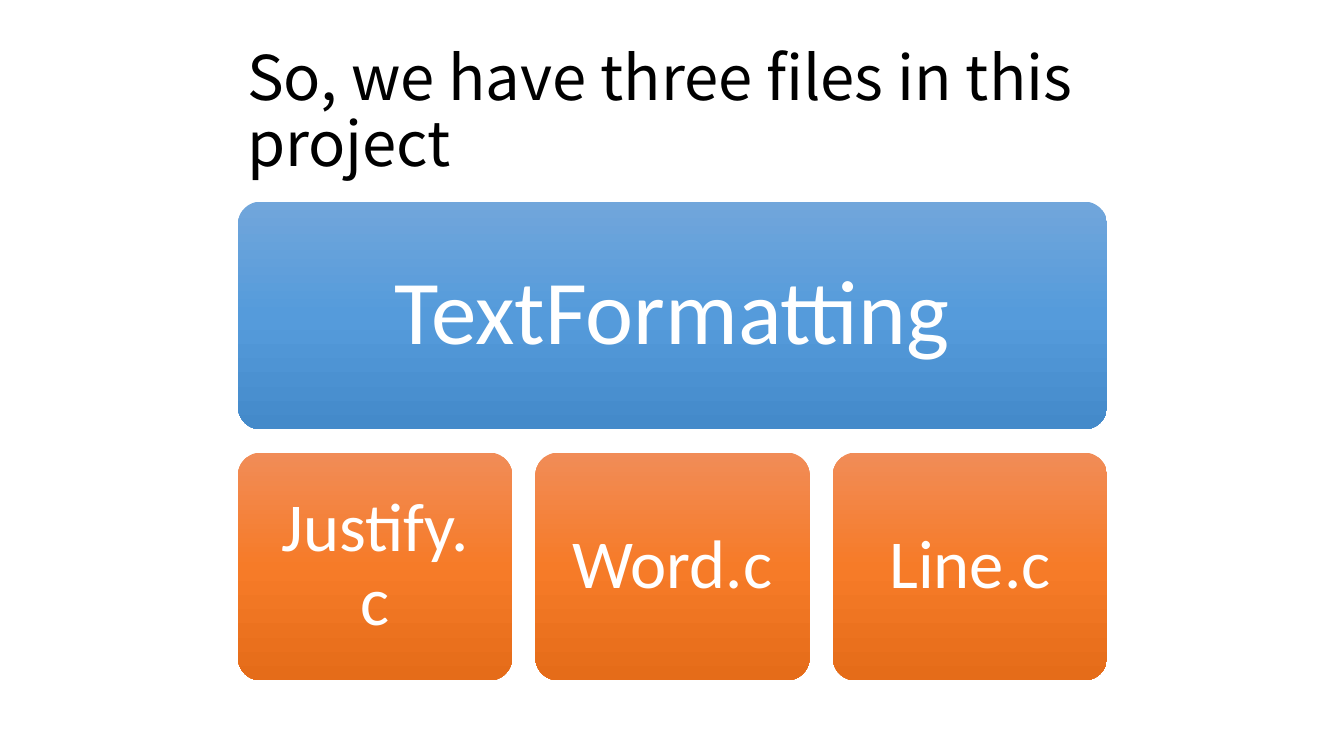
from copy import deepcopy

from pptx import Presentation
from pptx import util as u
from pptx.dml.color import RGBColor
from pptx.enum import shapes, text

COLORS = {
    "title": "000000",
    "label": "FFFFFF",
    "project": ("71A6DB", "559BDB", "448ACA"),
    "file": ("F18C57", "F67B28", "E56C19"),
}
LEFT, WIDTH, HEIGHT, GAP = 2.36, 8.62, 2.26, 0.23
PROJECT_TOP, FILE_TOP = 2, 4.49
FILES = ("Justify.c", "Word.c", "Line.c")


def write(frame, words, *, font, size, color, align, margin):
    frame.word_wrap = True
    frame.auto_size = text.MSO_AUTO_SIZE.NONE
    frame.vertical_anchor = text.MSO_ANCHOR.MIDDLE
    frame.margin_left = frame.margin_right = u.Inches(margin)
    para = frame.paragraphs[0]
    para.alignment = align
    para.line_spacing = 0.9
    span = para.add_run()
    span.text = words
    span.font.name = font
    span.font.size = u.Pt(size)
    span.font.color.rgb = RGBColor.from_string(color)


class Slide:
    title_font = "Noto Sans CJK SC"
    label_font = "Calibri"

    def __init__(self, deck):
        self.page = deck.slides.add_slide(deck.slide_layouts[5])

    def title(self, words, left, top, width, height):
        box = self.page.shapes.title
        box.left, box.top = u.Inches(left), u.Inches(top)
        box.width, box.height = u.Inches(width), u.Inches(height)
        write(box.text_frame, words, font=self.title_font, size=44,
              color=COLORS["title"], align=text.PP_ALIGN.LEFT, margin=0.1)

    def block(self, words, left, top, width, height, kind, size):
        box = self.page.shapes.add_shape(
            shapes.MSO_SHAPE.ROUNDED_RECTANGLE,
            u.Inches(left), u.Inches(top), u.Inches(width), u.Inches(height))
        box.adjustments[0] = 0.1
        box.shadow.inherit = False
        box.line.fill.background()
        self.shade(box, COLORS[kind])
        write(box.text_frame, words, font=self.label_font, size=size,
              color=COLORS["label"], align=text.PP_ALIGN.CENTER, margin=0.25)

    def shade(self, box, colors):
        box.fill.gradient()
        box.fill.gradient_angle = 270
        stop_list = box.element.spPr.xpath("./a:gradFill/a:gsLst")[0]
        stop_list.append(deepcopy(stop_list[0]))
        for stop, position, color in zip(box.fill.gradient_stops, (0, 0.5, 1), colors):
            stop.position = position
            stop.color.rgb = RGBColor.from_string(color)


deck = Presentation()
deck.slide_width, deck.slide_height = u.Inches(13.33), u.Inches(7.5)
slide = Slide(deck)
slide.title("So, we have three files in this project", 2.35, 0.4, 9.19, 1.45)
slide.block("TextFormatting", LEFT, PROJECT_TOP, WIDTH, HEIGHT, "project", 65)
file_width = (WIDTH - GAP * (len(FILES) - 1)) / len(FILES)
for index, name in enumerate(FILES):
    file_left = LEFT + index * (file_width + GAP)
    slide.block(name, file_left, FILE_TOP, file_width, HEIGHT, "file", 49)
deck.save("out.pptx")
